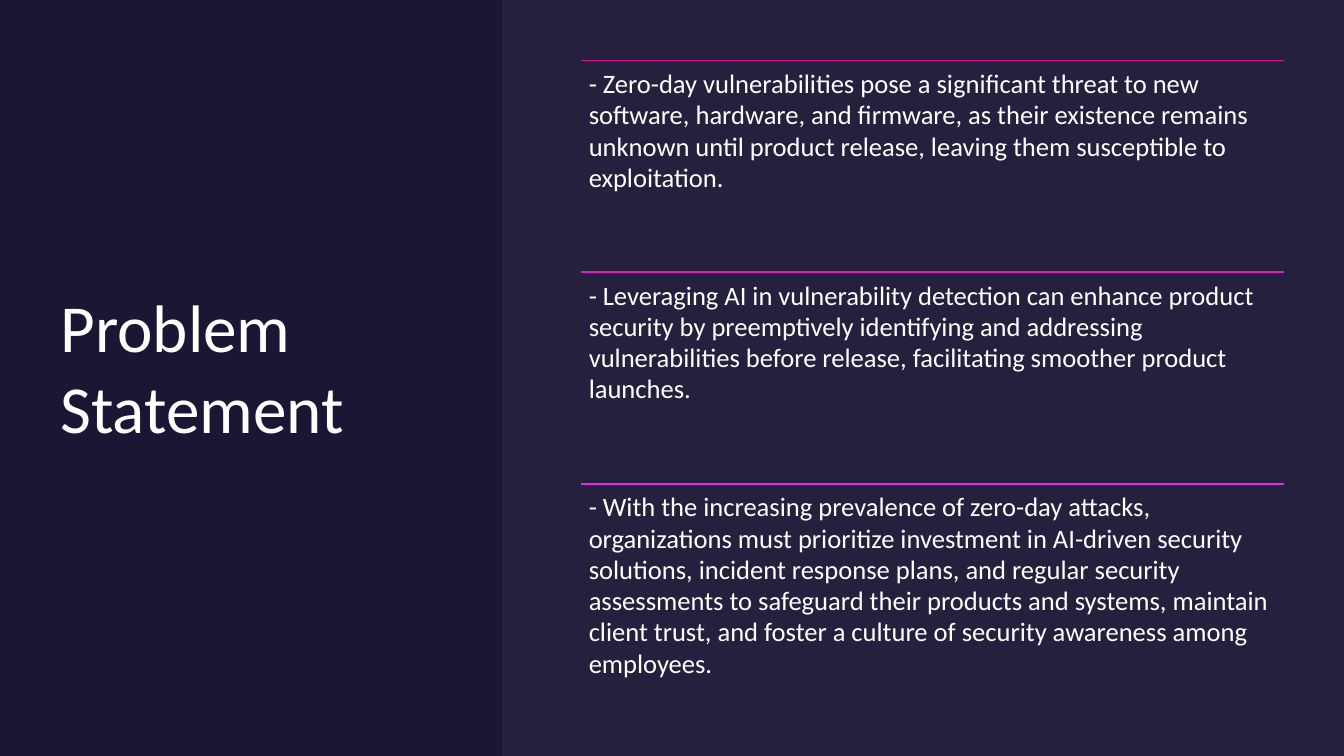
from lxml import etree
from pptx import Presentation
from pptx.dml.color import RGBColor
from pptx.enum.shapes import MSO_CONNECTOR, MSO_SHAPE
from pptx.enum.text import MSO_ANCHOR, MSO_AUTO_SIZE, PP_ALIGN
from pptx.oxml.ns import qn
from pptx.util import Inches, Pt

RECT = MSO_SHAPE.RECTANGLE
LINE = MSO_CONNECTOR.STRAIGHT
TOP, MIDDLE = MSO_ANCHOR.TOP, MSO_ANCHOR.MIDDLE
LEFT = PP_ALIGN.LEFT
FIXED = MSO_AUTO_SIZE.NONE

NAVY = RGBColor(0x1A, 0x16, 0x34)
LILAC = RGBColor(0xE3, 0xE0, 0xF2)
WHITE = RGBColor(0xFF, 0xFF, 0xFF)
ROSE = RGBColor(0xD5, 0x17, 0x8E)
PINK = RGBColor(0xE5, 0x19, 0xC3)
VIOLET = RGBColor(0xDF, 0x29, 0xE7)

POINTS = [
    (ROSE, "- Zero-day vulnerabilities pose a significant threat to new software, "
           "hardware, and firmware, as their existence remains unknown until product "
           "release, leaving them susceptible to exploitation."),
    (PINK, "- Leveraging AI in vulnerability detection can enhance product security by "
           "preemptively identifying and addressing vulnerabilities before release, "
           "facilitating smoother product launches."),
    (VIOLET, "- With the increasing prevalence of zero-day attacks, organizations must "
             "prioritize investment in AI-driven security solutions, incident response "
             "plans, and regular security assessments to safeguard their products and "
             "systems, maintain client trust, and foster a culture of security awareness "
             "among employees."),
]


def write(shape, text, size, anchor=TOP, inset=0, spacing=1.0):
    """Fill a shape with one left-aligned paragraph."""
    frame = shape.text_frame
    frame.word_wrap = True
    frame.auto_size = FIXED
    frame.vertical_anchor = anchor
    frame.margin_left = frame.margin_right = Inches(inset)
    frame.margin_top = frame.margin_bottom = Inches(inset)
    para = frame.paragraphs[0]
    para.alignment = LEFT
    para.line_spacing = spacing
    run = para.add_run()
    run.text = text
    run.font.name = "Calibri"
    run.font.size = Pt(size)
    run.font.color.rgb = WHITE


def add_panel(slide, box, color, alpha=100):
    """Draw a borderless panel with the given opacity in percent."""
    panel = slide.shapes.add_shape(RECT, *map(Inches, box))
    panel.shadow.inherit = False
    panel.fill.solid()
    panel.fill.fore_color.rgb = color
    panel.line.fill.background()
    if alpha < 100:
        tone = panel._element.spPr.find(qn("a:solidFill")).find(qn("a:srgbClr"))
        etree.SubElement(tone, qn("a:alpha"), val=str(alpha * 1000))


def add_title(slide, box, text):
    """Place the slide title in its box, in front of earlier shapes."""
    title = slide.shapes.title
    title.left, title.top, title.width, title.height = map(Inches, box)
    write(title, text, 48, anchor=MIDDLE)
    slide.shapes._spTree.append(title._element)


def add_points(slide, box, points):
    """Stack ruled text rows of equal height in the box."""
    left, top, width, height = box
    step = height / len(points)
    group = slide.shapes.add_group_shape()
    for index, (color, text) in enumerate(points):
        y = top + index * step
        rule = group.shapes.add_connector(
            LINE, Inches(left), Inches(y), Inches(left + width), Inches(y))
        rule.line.color.rgb = color
        rule.line.width = Pt(1)
        etree.SubElement(rule._element.spPr, qn("a:effectLst"))
        row = group.shapes.add_textbox(*map(Inches, (left, y, width, step)))
        write(row, text, 19, inset=0.08, spacing=0.98)


def main():
    """Build the slide and save it."""
    deck = Presentation()
    deck.slide_width, deck.slide_height = Inches(13.33), Inches(7.5)
    slide = deck.slides.add_slide(deck.slide_layouts[5])
    slide.background.fill.solid()
    slide.background.fill.fore_color.rgb = NAVY
    add_panel(slide, (0, 0, 13.33, 7.5), NAVY)
    add_title(slide, (0.6, 0.6, 3.9, 6.06), "Problem Statement")
    add_panel(slide, (4.98, 0, 8.35, 7.5), LILAC, alpha=5)
    add_points(slide, (5.76, 0.6, 6.97, 6.3), POINTS)
    deck.save("out.pptx")


if __name__ == "__main__":
    main()
